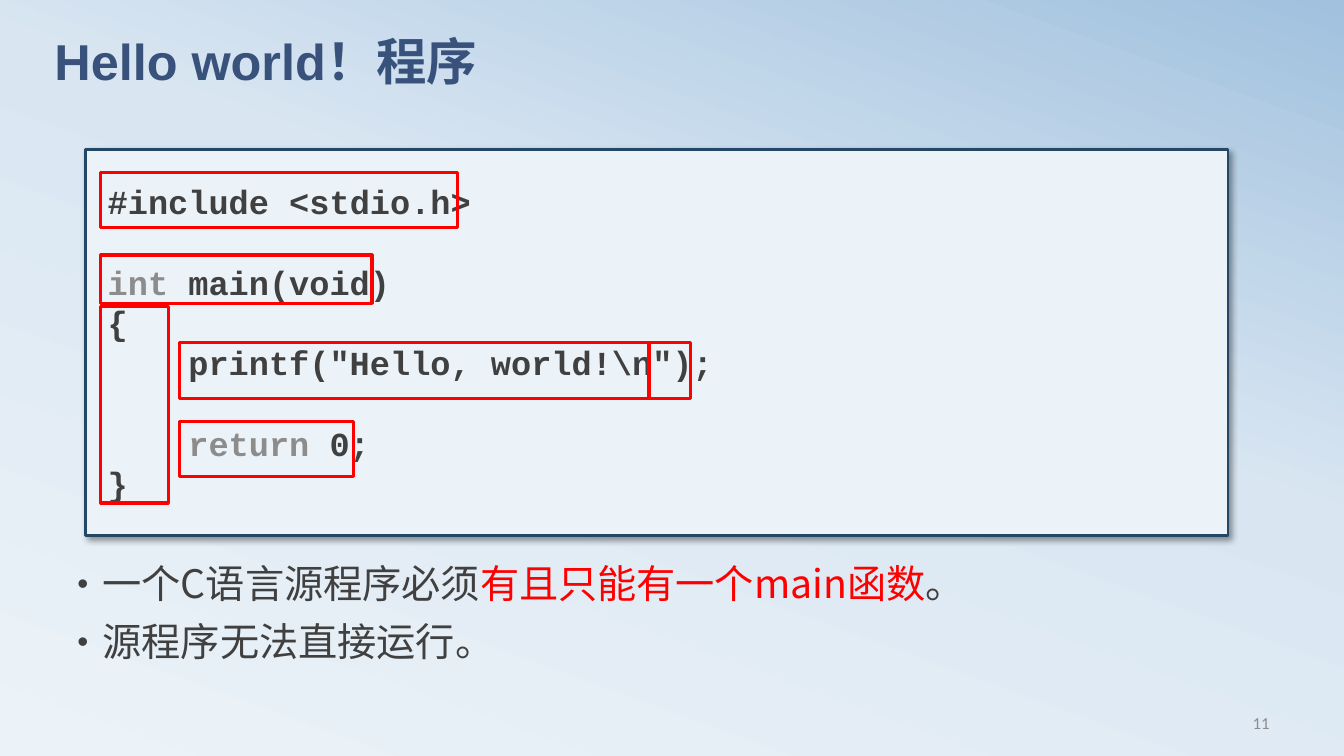
from lxml.etree import SubElement
from pptx import Presentation
from pptx.dml.color import RGBColor
from pptx.enum.shapes import MSO_SHAPE
from pptx.enum.text import MSO_ANCHOR, PP_ALIGN
from pptx.oxml import parse_xml
from pptx.oxml.ns import nsdecls, qn
from pptx.util import Emu, Pt

HUES = {"pale": "ECF3F8", "mist": "D9E6F2", "sky": "A1C1DE", "title": "39527B",
        "ink": "404040", "gray": "8C8C8C", "red": "FF0000", "edge": "244766",
        "black": "000000"}
CJK = "Noto Sans CJK SC"
MONO = "Courier New"
STEP = 28.8
CODE = [
    (0, 0, [("#include <stdio.h>", "ink")]),
    (0, 1, [("int", "gray"), (" main(void)", "ink")]),
    (0, 0, [("{", "ink")]),
    (4, 0, [('printf("Hello, world!\\n");', "ink")]),
    (4, 1, [("return", "gray"), (" 0;", "ink")]),
    (0, 0, [("}", "ink")]),
]
NOTES = [
    [("一个C语言源程序必须", "ink"), ("有且只能有一个main函数", "red"), ("。", "ink")],
    [("源程序无法直接运行。", "ink")],
]
MARKS = [(15, 23, 354, 55), (15, 105, 269, 48), (15, 156, 67, 195),
         (93, 192, 466, 55), (558, 192, 42, 55), (93, 270, 173, 55)]


def px(num):
    return Emu(num * 9144)


def hue(name):
    return RGBColor.from_string(HUES[name])


def write(para, runs, size, font, bold=False, align=PP_ALIGN.LEFT,
          line=None, before=0, left=0, hang=0, dot=False):
    para.alignment = align
    para.space_before = Pt(before)
    if line:
        para.line_spacing = line
    props = para._p.get_or_add_pPr()
    props.set("marL", str(px(left)))
    props.set("indent", str(px(-hang)))
    if dot:
        tint = SubElement(props, qn("a:buClr"))
        SubElement(tint, qn("a:srgbClr"), val=HUES["ink"])
        SubElement(props, qn("a:buSzPct"), val="80000")
        SubElement(props, qn("a:buFont"), typeface="Arial")
        SubElement(props, qn("a:buChar"), char="•")
    for text, tone in runs:
        run = para.add_run()
        run.text = text
        run.font.size = Pt(size)
        run.font.name = font
        run.font.bold = bold
        run.font.color.rgb = hue(tone)
        SubElement(run._r.get_or_add_rPr(), qn("a:ea"), typeface=CJK)


def place(shape, box):
    shape.left, shape.top, shape.width, shape.height = map(px, box)


def lines(frame, count):
    for _ in range(count - 1):
        frame.add_paragraph()
    return frame.paragraphs


def frame_of(shape, anchor):
    frame = shape.text_frame
    frame.word_wrap = True
    frame.vertical_anchor = anchor
    return frame


def paint(slide):
    slide.background.fill.solid()
    old = slide._element.find(".//" + qn("a:solidFill"))
    stops = "".join(
        f'<a:gs pos="{pos * 1000}"><a:srgbClr val="{HUES[name]}"/></a:gs>'
        for pos, name in ((0, "pale"), (58, "mist"), (100, "sky")))
    old.getparent().replace(old, parse_xml(
        f'<a:gradFill {nsdecls("a")} rotWithShape="1"><a:gsLst>{stops}</a:gsLst>'
        '<a:lin ang="17400000" scaled="0"/></a:gradFill>'))


def head(slide, box):
    title = slide.shapes.title
    place(title, box)
    frame = frame_of(title, MSO_ANCHOR.TOP)
    write(frame.paragraphs[0], [("Hello world！程序", "title")], 36, "Arial",
          bold=True, line=0.8)


def rect(slide, box, edge, width, fill=None):
    shape = slide.shapes.add_shape(MSO_SHAPE.RECTANGLE, *map(px, box))
    shape.shadow.inherit = False
    if fill:
        shape.fill.solid()
        shape.fill.fore_color.rgb = hue(fill)
    else:
        shape.fill.background()
    shape.line.color.rgb = hue(edge)
    shape.line.width = Pt(width)
    return shape


def code(slide, box):
    panel = rect(slide, box, "edge", 2, "pale")
    glow = panel._element.spPr.find(qn("a:effectLst"))
    cast = SubElement(glow, qn("a:outerShdw"), blurRad=str(Pt(4)), dist=str(Pt(3)),
                      dir="2700000", algn="tl", rotWithShape="0")
    tint = SubElement(cast, qn("a:srgbClr"), val=HUES["black"])
    SubElement(tint, qn("a:alpha"), val="40000")
    frame = frame_of(panel, MSO_ANCHOR.MIDDLE)
    for para, (tab, gap, runs) in zip(lines(frame, len(CODE)), CODE):
        write(para, runs, 24, MONO, bold=True, line=Pt(STEP),
              before=gap * STEP, left=12 + tab * 20)
    for x, y, wide, high in MARKS:
        rect(slide, (box[0] + x, box[1] + y, wide, high), "red", 2.25)


def notes(slide, box):
    frame = frame_of(slide.shapes.add_textbox(*map(px, box)), MSO_ANCHOR.TOP)
    for para, runs in zip(lines(frame, len(NOTES)), NOTES):
        write(para, runs, 28, CJK, line=0.9, before=11.5, left=25, hang=25, dot=True)


def page(slide, box):
    frame = frame_of(slide.shapes.add_textbox(*map(px, box)), MSO_ANCHOR.MIDDLE)
    write(frame.paragraphs[0], [("11", "gray")], 12, "Calibri", align=PP_ALIGN.RIGHT)


def main():
    deck = Presentation()
    deck.slide_width, deck.slide_height = px(1333), px(750)
    slide = deck.slides.add_slide(deck.slide_layouts[5])
    paint(slide)
    page(slide, (958, 697, 311, 40))
    head(slide, (44, 36, 1200, 94))
    notes(slide, (67, 555, 1200, 125))
    code(slide, (85, 148, 1133, 383))
    deck.save("out.pptx")


if __name__ == "__main__":
    main()
